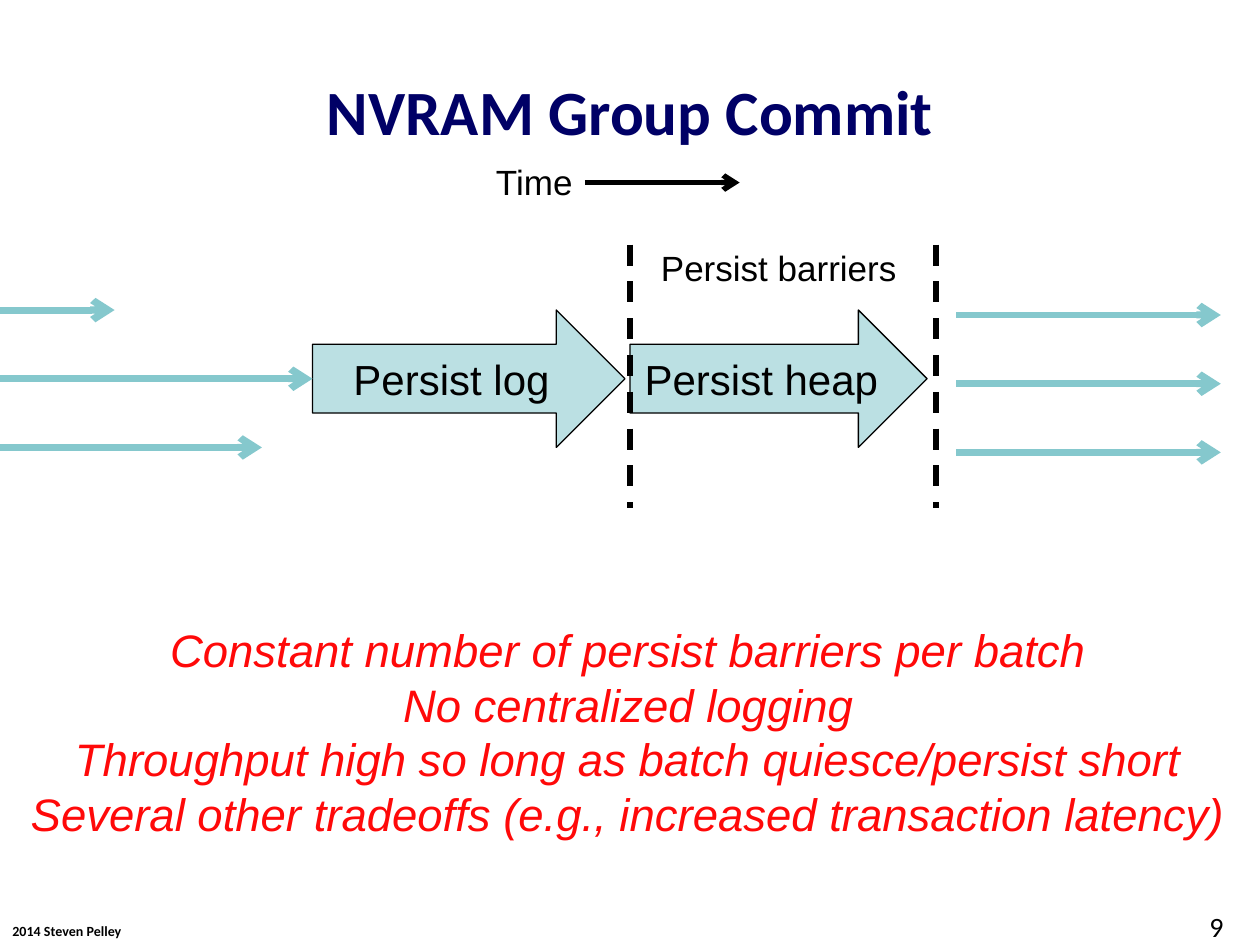
"""Builds the NVRAM Group Commit slide."""
from lxml import etree
from pptx import Presentation
from pptx.dml.color import RGBColor
from pptx.enum import dml, shapes, text
from pptx.oxml.ns import qn
from pptx.util import Cm, Pt

COLORS = {"title": "000066", "ink": "000000", "flow": "85C8CD", "phase": "BBE0E3", "claim": "FF0909"}
TITLE = "NVRAM Group Commit"
CLAIMS = [
    "Constant number of persist barriers per batch",
    "No centralized logging",
    "Throughput high so long as batch quiesce/persist short",
    "Several other tradeoffs (e.g., increased transaction latency)",
]
# words, left, top, width, height, font, size, bold, alignment, wrap
LABELS = [
    ("2014 Steven Pelley", 0, 18.47, 2.72, 0.61, "Calibri", 8, True, "LEFT", False),
    ("9", 24.13, 18.21, 1.27, 0.84, "Calibri", 16, False, "LEFT", True),
    ("Time", 9.73, 3.12, 2.08, 1.12, "Arial", 20, False, "CENTER", False),
    ("Persist barriers", 12.65, 4.85, 6.1, 1.12, "Arial", 20, False, "CENTER", True),
]
PHASES = [("Persist log", 6.3, 6.3), ("Persist heap", 12.7, 5.99)]
PHASE_TOP, PHASE_HEIGHT = 6.25, 2.77
INCOMING_ENDS = [2.31, 6.3, 5.28]
OUTGOING_LEFT, OUTGOING_RIGHT, OUTGOING_TOP = 19.28, 24.61, 6.35
FLOW_STEP = PHASE_HEIGHT / 2
BARRIERS, BARRIER_TOP, BARRIER_BOTTOM = [12.7, 18.87], 4.93, 10.24


def color(name):
    return RGBColor.from_string(COLORS[name])


def write(frame, lines, font, size, ink="ink", bold=False, italic=False, align="CENTER"):
    frame.text = "\n".join(lines)
    for paragraph in frame.paragraphs:
        paragraph.alignment = getattr(text.PP_ALIGN, align)
        paragraph.font.name, paragraph.font.size = font, Pt(size)
        paragraph.font.bold, paragraph.font.italic = bold, italic
        paragraph.font.color.rgb = color(ink)


def add_label(slide, lines, left, top, width, height, wrap, **style):
    frame = slide.shapes.add_textbox(Cm(left), Cm(top), Cm(width), Cm(height)).text_frame
    frame.word_wrap = wrap
    write(frame, lines, **style)


def add_line(slide, x1, y1, x2, y2, ink, width, arrow=True):
    line = slide.shapes.add_connector(shapes.MSO_CONNECTOR.STRAIGHT, Cm(x1), Cm(y1), Cm(x2), Cm(y2))
    line.line.color.rgb, line.line.width = color(ink), Pt(width)
    if arrow:
        etree.SubElement(line.line._get_or_add_ln(), qn("a:tailEnd"), type="arrow")
    else:
        line.line.dash_style = dml.MSO_LINE.DASH
    etree.SubElement(line._element.spPr, qn("a:effectLst"))
    return line


def add_phase(slide, name, left, width):
    phase = slide.shapes.add_shape(
        shapes.MSO_SHAPE.RIGHT_ARROW, Cm(left), Cm(PHASE_TOP), Cm(width), Cm(PHASE_HEIGHT))
    phase.shadow.inherit = False
    phase.fill.solid()
    phase.fill.fore_color.rgb = color("phase")
    phase.line.color.rgb, phase.line.width = color("ink"), Pt(0.75)
    frame = phase.text_frame
    frame.margin_left = frame.margin_right = 0
    frame.vertical_anchor = text.MSO_ANCHOR.MIDDLE
    write(frame, [name], "Arial", 24)
    return phase


def main():
    deck = Presentation()
    deck.slide_width, deck.slide_height = Cm(25.4), Cm(19.05)
    slide = deck.slides.add_slide(deck.slide_layouts[5])

    title = slide.shapes.title
    title.left, title.top, title.width, title.height = Cm(1.27), Cm(1.27), Cm(22.86), Cm(1.91)
    title.text_frame.vertical_anchor = text.MSO_ANCHOR.MIDDLE
    write(title.text_frame, [TITLE], "Calibri", 36, "title", bold=True)

    for words, left, top, width, height, font, size, bold, align, wrap in LABELS:
        add_label(slide, [words], left, top, width, height, wrap,
                  font=font, size=size, bold=bold, align=align)
    add_label(slide, CLAIMS, 0.25, 12.42, 24.84, 4.7, False,
              font="Arial", size=26, ink="claim", italic=True)

    add_line(slide, 11.79, 3.68, 14.91, 3.68, "ink", 3)
    log, heap = [add_phase(slide, *phase) for phase in PHASES]
    for row, end in enumerate(INCOMING_ENDS):
        y = PHASE_TOP + row * FLOW_STEP
        incoming = add_line(slide, 0, y, end, y, "flow", 4)
        if end == PHASES[0][1]:
            incoming.end_connect(log, 1)
        y = OUTGOING_TOP + row * FLOW_STEP
        add_line(slide, OUTGOING_LEFT, y, OUTGOING_RIGHT, y, "flow", 4)
    for x in BARRIERS:
        add_line(slide, x, BARRIER_TOP, x, BARRIER_BOTTOM, "ink", 3, arrow=False)

    deck.save("out.pptx")


if __name__ == "__main__":
    main()
